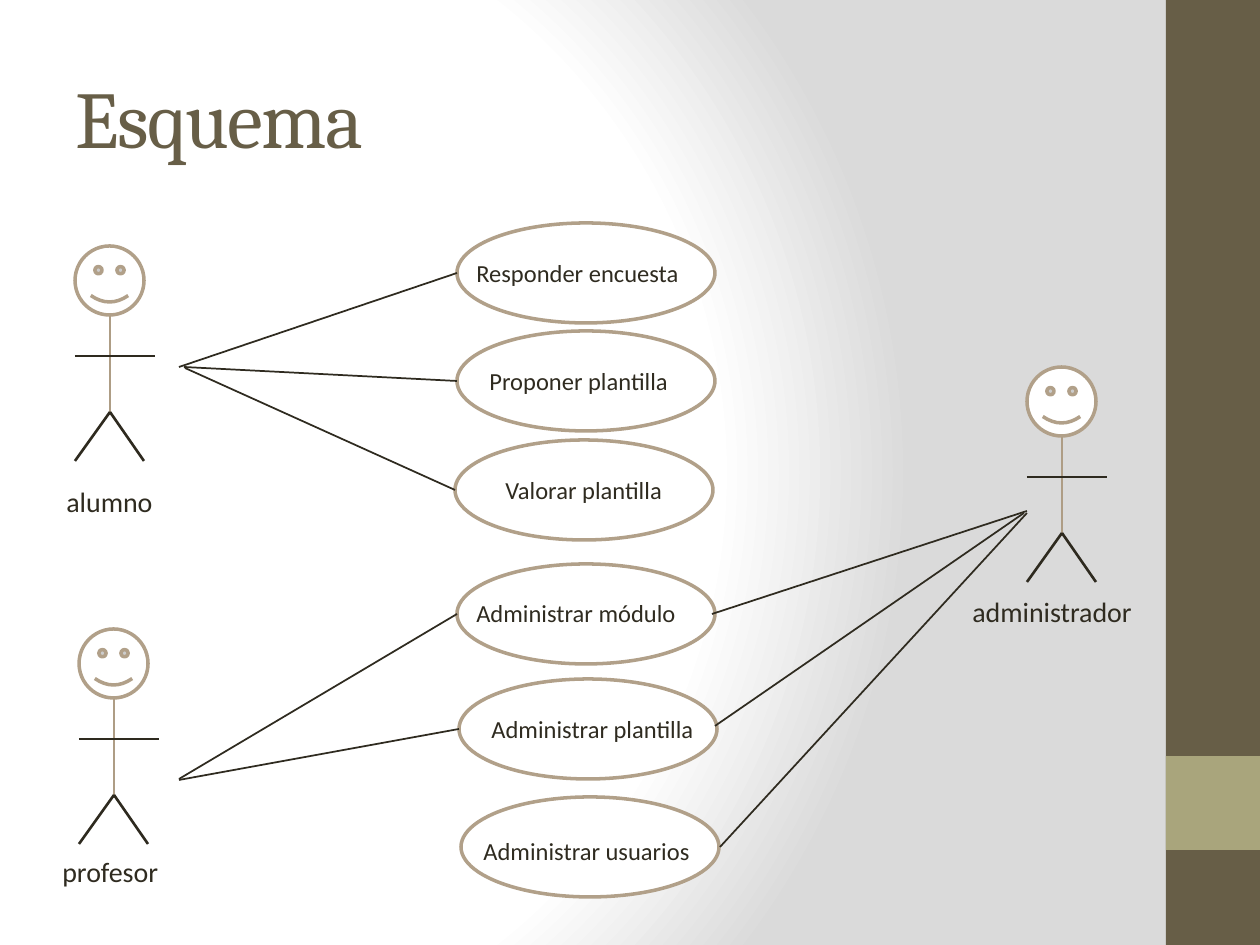
import pptx
import pptx.util
import pptx.dml.color
import pptx.enum.shapes
import pptx.enum.text
import pptx.oxml
import pptx.oxml.ns
import lxml.etree

PX = 914400 // 126
RGB = pptx.dml.color.RGBColor
SHAPE = pptx.enum.shapes.MSO_SHAPE
BROWN = RGB(0x67, 0x5E, 0x47)
OLIVE = RGB(0xA9, 0xA5, 0x7C)
OUTLINE = RGB(0xB1, 0xA0, 0x89)
BODY = RGB(0xAE, 0x9D, 0x85)
LIMB = RGB(0x2E, 0x2A, 0x1F)
INK = RGB(0x2F, 0x2B, 0x20)
WHITE = RGB(0xFF, 0xFF, 0xFF)

deck = pptx.Presentation()
deck.slide_width, deck.slide_height = 1260 * PX, 945 * PX
slide = deck.slides.add_slide(deck.slide_layouts[5])


def write(frame, text, size=14, font="Calibri", color=INK,
          anchor=pptx.enum.text.MSO_ANCHOR.TOP):
    """Put left-aligned text in a frame and return its run."""
    frame.word_wrap = True
    frame.vertical_anchor = anchor
    paragraph = frame.paragraphs[0]
    paragraph.alignment = pptx.enum.text.PP_ALIGN.LEFT
    run = paragraph.add_run()
    run.text = text
    run.font.size = pptx.util.Pt(size)
    run.font.name = font
    run.font.color.rgb = color
    return run


def draw(kind, *box, fill=None, color=None, weight=1):
    """Draw a preset shape in a box, or a line between two points."""
    lengths = [value * PX for value in box]
    if kind == "line":
        item = slide.shapes.add_connector(
            pptx.enum.shapes.MSO_CONNECTOR.STRAIGHT, *lengths)
        lxml.etree.SubElement(item._element.spPr, pptx.oxml.ns.qn("a:effectLst"))
    else:
        item = slide.shapes.add_shape(kind, *lengths)
        item.shadow.inherit = False
        item.fill.solid()
        item.fill.fore_color.rgb = fill
    if color is None:
        item.line.fill.background()
    else:
        item.line.color.rgb = color
        item.line.width = pptx.util.Pt(weight)


# Background: circular gradient from white to grey
slide.background.fill.solid()
solid = slide.background._cSld.find(".//" + pptx.oxml.ns.qn("a:solidFill"))
gradient = pptx.oxml.parse_xml(
    f'<a:gradFill {pptx.oxml.ns.nsdecls("a")} rotWithShape="1"><a:gsLst>'
    '<a:gs pos="0"><a:srgbClr val="FFFFFF"/></a:gs>'
    '<a:gs pos="75000"><a:srgbClr val="FFFFFF"/></a:gs>'
    '<a:gs pos="100000"><a:srgbClr val="DADADA"/></a:gs></a:gsLst>'
    '<a:path path="circle">'
    '<a:fillToRect l="20000" t="50000" r="100000" b="50000"/></a:path></a:gradFill>')
solid.getparent().replace(solid, gradient)

# Side band and title
draw(SHAPE.RECTANGLE, 1166, 0, 94, 945, fill=BROWN)
draw(SHAPE.RECTANGLE, 1166, 756, 94, 94, fill=OLIVE)
title = slide.shapes.title
title.left, title.top, title.width, title.height = (
    value * PX for value in (63, 38, 1050, 157))
heading = write(title.text_frame, "Esquema", size=46, font="Cambria", color=BROWN,
                anchor=pptx.enum.text.MSO_ANCHOR.MIDDLE)
heading.font._element.set("spc", "-100")

# Actors: head position, then label and its left, top and width
actors = [
    (75, 246, "alumno", 54, 478, 129),
    (79, 629, "profesor", 50, 848, 129),
    (1027, 367, "administrador", 960, 588, 204),
]
limbs = [(0, 110, 80, 110), (35, 166, 69, 215), (35, 166, 0, 215)]
for x, y, actor, left, top, width in actors:
    draw(SHAPE.SMILEY_FACE, x, y, 69, 69, fill=WHITE, color=OUTLINE, weight=2)
    draw("line", x + 35, y + 70, x + 35, y + 169, color=BODY, weight=1.5)
    for x1, y1, x2, y2 in limbs:
        draw("line", x + x1, y + y1, x + x2, y + y2, color=LIMB, weight=1.5)
    label = slide.shapes.add_textbox(left * PX, top * PX, width * PX, 47 * PX)
    write(label.text_frame, actor, size=16)

# Use cases: ellipse position, then name and its left, top and width
use_cases = [
    (457, 223, "Responder encuesta", 464, 252, 277),
    (457, 331, "Proponer plantilla", 477, 360, 248),
    (455, 440, "Valorar plantilla", 493, 469, 287),
    (457, 564, "Administrar módulo", 464, 592, 277),
    (459, 679, "Administrar plantilla", 479, 708, 248),
    (461, 797, "Administrar usuarios", 471, 830, 248),
]
for x, y, use_case, left, top, width in use_cases:
    draw(SHAPE.OVAL, x, y, 258, 100, fill=WHITE, color=OUTLINE, weight=2)
    name = slide.shapes.add_textbox(left * PX, top * PX, width * PX, 43 * PX)
    write(name.text_frame, use_case)

# Associations between actors and use cases
associations = [
    (179, 367, 457, 273), (184, 367, 457, 381), (185, 368, 455, 490),
    (179, 779, 457, 614), (179, 780, 459, 729),
    (1027, 511, 712, 614), (1024, 513, 715, 726), (1027, 513, 720, 847),
]
for ends in associations:
    draw("line", *ends, color=INK)

deck.save("out.pptx")
